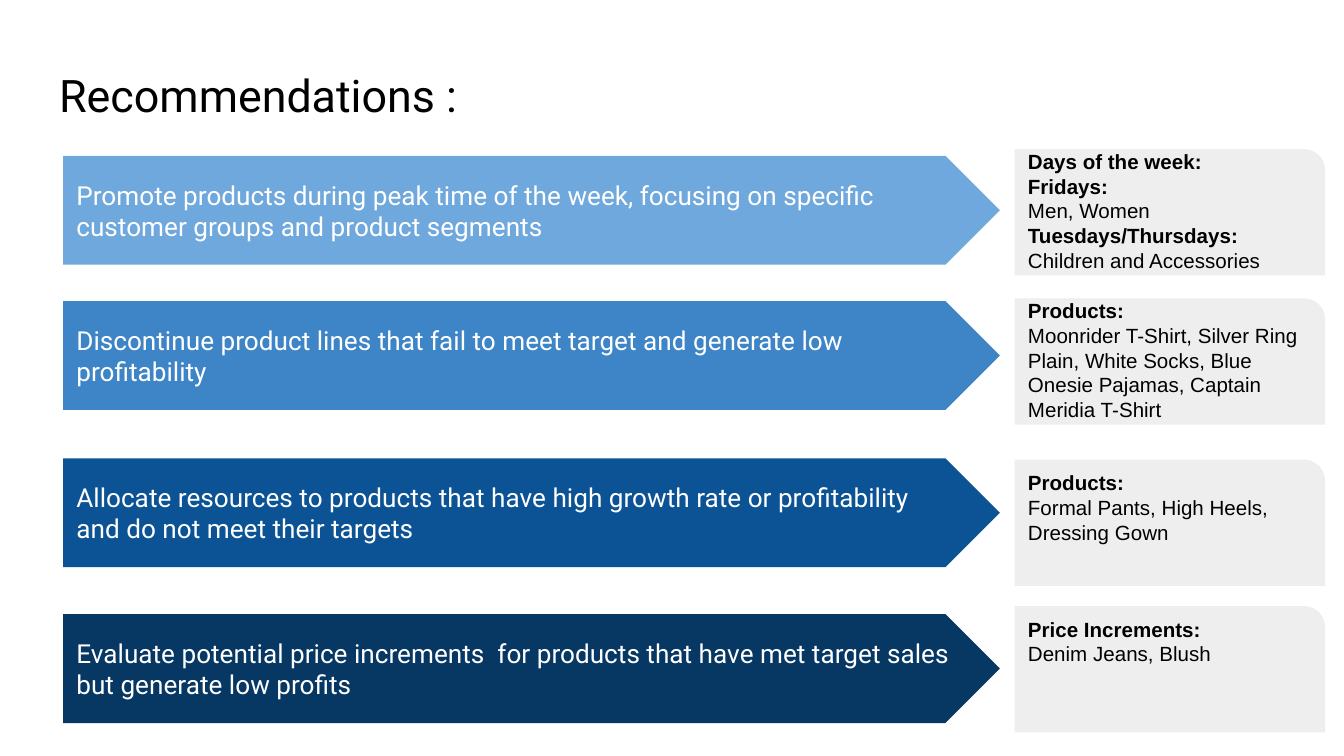
import pptx
import pptx.util
import pptx.dml.color
import pptx.enum.shapes
import pptx.enum.text

Inches, Pt = pptx.util.Inches, pptx.util.Pt
SHAPE = pptx.enum.shapes.MSO_SHAPE
ANCHOR = pptx.enum.text.MSO_ANCHOR
LEFT = pptx.enum.text.PP_ALIGN.LEFT

COLORS = {"sky": "6FA8DC", "blue": "3D85C6", "deep": "0B5394", "navy": "073763",
          "card": "EEEEEE", "black": "000000", "white": "FFFFFF"}

# Each detail paragraph is a list of (text, bold) runs
RECOMMENDATIONS = [
    {"advice": "Promote products during peak time of the week, focusing on specific "
               "customer groups and product segments",
     "color": "sky", "arrow_top": 1.16, "card_top": 1.11, "card_inset": 0,
     "details": [[("Days of the week:", True)], [("Fridays:", True)],
                 [("Men, Women", False)],
                 [("Tuesdays/Thursdays:", True), (" Children and Accessories", False)]]},
    {"advice": "Discontinue product lines that fail to meet target and generate low "
               "profitability",
     "color": "blue", "arrow_top": 2.24, "card_top": 2.22, "card_inset": 0,
     "details": [[("Products:", True)],
                 [("Moonrider T-Shirt, Silver Ring Plain, White Socks, Blue Onesie "
                   "Pajamas, Captain Meridia T-Shirt", False)]]},
    {"advice": "Allocate resources to products that have high growth rate or "
               "profitability and do not meet their targets",
     "color": "deep", "arrow_top": 3.41, "card_top": 3.42, "card_inset": 0.08,
     "details": [[("Products:", True)],
                 [("Formal Pants, High Heels, Dressing Gown", False)]]},
    {"advice": "Evaluate potential price increments  for products that have met target "
               "sales but generate low profits",
     "color": "navy", "arrow_top": 4.57, "card_top": 4.51, "card_inset": 0.08,
     "details": [[("Price Increments:", True)], [("Denim Jeans, Blush", False)]]},
]


def rgb(name):
    return pptx.dml.color.RGBColor.from_string(COLORS[name])


def style_run(run, font, size, color, bold=False):
    run.font.name = font
    run.font.size = Pt(size)
    run.font.color.rgb = rgb(color)
    run.font.bold = bold


def set_frame(frame, anchor, vertical_inset=0.1):
    frame.word_wrap = True
    frame.vertical_anchor = anchor
    frame.margin_left = frame.margin_right = Inches(0.1)
    frame.margin_top = frame.margin_bottom = Inches(vertical_inset)


def add_panel(slide, kind, left, top, width, height, color):
    panel = slide.shapes.add_shape(kind, Inches(left), Inches(top),
                                   Inches(width), Inches(height))
    panel.shadow.inherit = False
    panel.fill.solid()
    panel.fill.fore_color.rgb = rgb(color)
    panel.line.fill.background()
    return panel


def main():
    # Widescreen 16:9 slide
    deck = pptx.Presentation()
    deck.slide_width, deck.slide_height = Inches(10), Inches(10 * 9 / 16)
    slide = deck.slides.add_slide(deck.slide_layouts.get_by_name("Title Only"))

    # Title
    title = slide.shapes.title
    title.left, title.top = Inches(0.34), Inches(0.4)
    title.width, title.height = Inches(9.32), Inches(0.63)
    title.text_frame.text = "Recommendations :"
    set_frame(title.text_frame, ANCHOR.TOP)
    heading = title.text_frame.paragraphs[0]
    heading.alignment = LEFT
    style_run(heading.runs[0], "Roboto", 24, "black")

    for item in RECOMMENDATIONS:
        # Arrow with the advice
        arrow = add_panel(slide, SHAPE.PENTAGON, 0.47, item["arrow_top"],
                          6.97, 0.81, item["color"])
        set_frame(arrow.text_frame, ANCHOR.MIDDLE)
        arrow.text_frame.text = item["advice"]
        advice = arrow.text_frame.paragraphs[0]
        advice.alignment = LEFT
        style_run(advice.runs[0], "Roboto", 14, "white")

        # Card with the details
        card = add_panel(slide, SHAPE.ROUND_1_RECTANGLE, 7.55, item["card_top"],
                         2.31, 0.94, "card")
        set_frame(card.text_frame, ANCHOR.TOP, item["card_inset"])
        for index, parts in enumerate(item["details"]):
            detail = (card.text_frame.add_paragraph() if index
                      else card.text_frame.paragraphs[0])
            detail.alignment = LEFT
            for text, bold in parts:
                run = detail.add_run()
                run.text = text
                style_run(run, "Arial", 11, "black", bold)

    deck.save("out.pptx")


if __name__ == "__main__":
    main()
